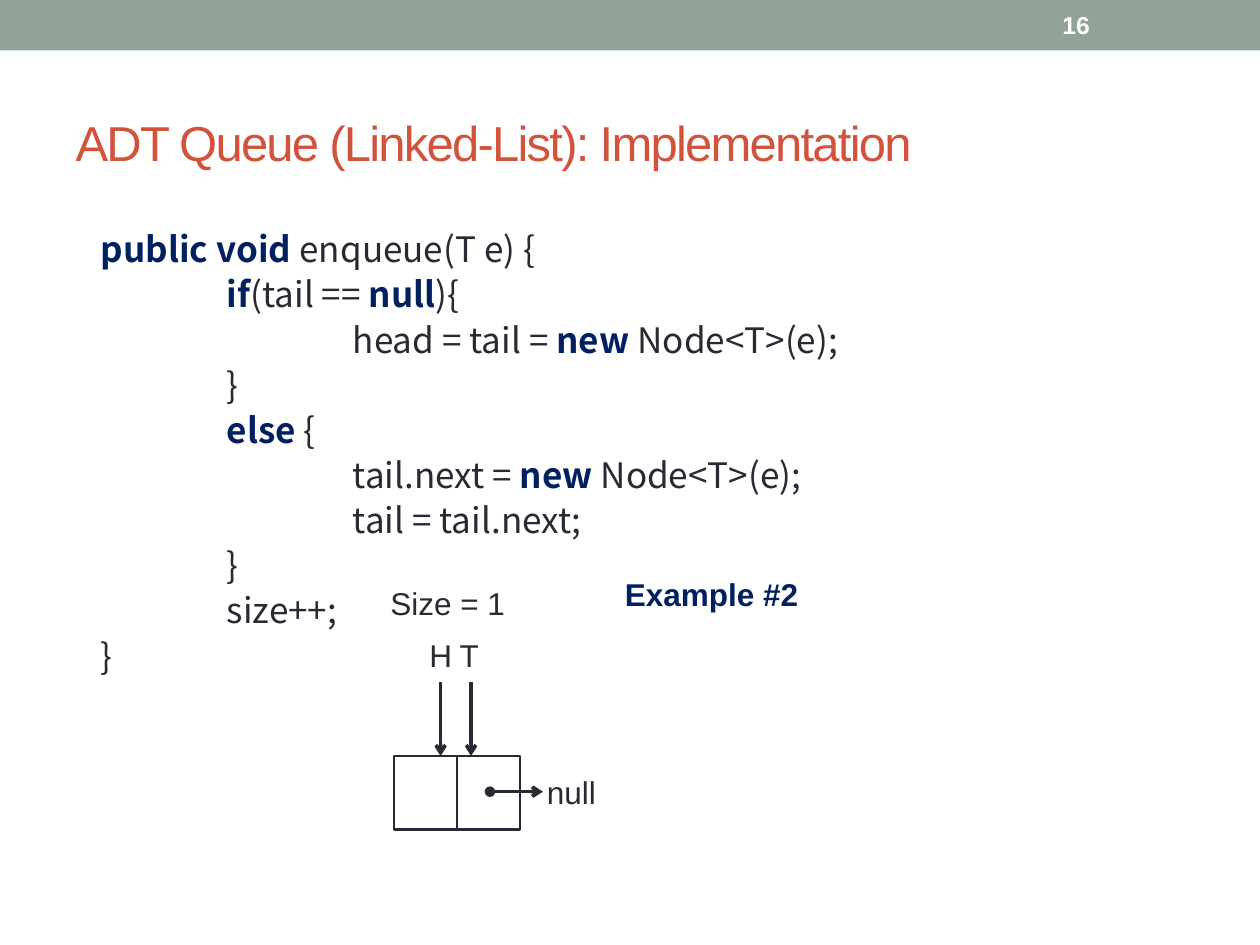
from lxml import etree
from pptx import Presentation
from pptx.dml.color import RGBColor
from pptx.enum.shapes import MSO_CONNECTOR, MSO_SHAPE
from pptx.enum.text import MSO_ANCHOR, MSO_AUTO_SIZE, PP_ALIGN
from pptx.oxml.ns import qn
from pptx.util import Pt

LINE, RECT = MSO_CONNECTOR.STRAIGHT, MSO_SHAPE.RECTANGLE
MID, TOP = MSO_ANCHOR.MIDDLE, MSO_ANCHOR.TOP
LEFT, FIXED = PP_ALIGN.LEFT, MSO_AUTO_SIZE.NONE
INK, NAVY, RED, SAGE, WHITE = "292934", "002060", "D2533C", "93A299", "FFFFFF"
SANS, CODE = "Arial", "Noto Sans CJK SC"

TITLE = "ADT Queue (Linked-List): Implementation"
KEYS = {"public void ", "if", "null", "new ", "else"}
LINES = [
    (0, ["public void ", "enqueue(T e) {"]),
    (1, ["if", "(tail == ", "null", "){"]),
    (2, ["head = tail = ", "new ", "Node<T>(e);"]),
    (1, ["}"]),
    (1, ["else", " {"]),
    (2, ["tail.next = ", "new ", "Node<T>(e);"]),
    (2, ["tail = tail.next;"]),
    (1, ["}"]),
    (1, ["size++;"]),
    (0, ["}"]),
]
NODE = (225.2, 432, 72, 42)
LABELS = [
    ("H", (238.3, 360, 28, 29), {}),
    ("T", (255.6, 360, 26, 29), {}),
    ("Size = 1", (216, 330, 88, 29), {}),
    ("null", (305.4, 438.2, 47.5, 29), {}),
    ("Example #2", (350, 325, 118, 29), {"color": NAVY, "bold": True}),
]


def rgb(code):
    return RGBColor.from_string(code)


def write(para, text, size=18, font=SANS, color=INK, bold=False, track=0):
    run = para.add_run()
    run.text = text
    face = run.font
    face.size, face.name, face.bold = Pt(size), font, bold
    face.color.rgb = rgb(color)
    if track:
        run._r.get_or_add_rPr().set("spc", str(track))


def place(item, box):
    item.left, item.top, item.width, item.height = map(Pt, box)


def label(text, box, wrap=False, anchor=TOP, **form):
    frame = slide.shapes.add_textbox(*map(Pt, box)).text_frame
    frame.word_wrap, frame.vertical_anchor = wrap, anchor
    write(frame.paragraphs[0], text, **form)


def block(box, fill, edge=None):
    shape = slide.shapes.add_shape(RECT, *map(Pt, box))
    shape.shadow.inherit = False
    shape.fill.solid()
    shape.fill.fore_color.rgb = rgb(fill)
    if edge:
        shape.line.color.rgb = rgb(edge)
        shape.line.width = Pt(1.25)
    else:
        shape.line.fill.background()


def link(ends, width=2, head=None, tail=None):
    item = slide.shapes.add_connector(LINE, *map(Pt, ends))
    item.line.color.rgb = rgb(INK)
    item.line.width = Pt(width)
    stroke = item.line._get_or_add_ln()
    for tag, kind in (("a:headEnd", head), ("a:tailEnd", tail)):
        if kind:
            etree.SubElement(stroke, qn(tag), type=kind)
    etree.SubElement(item._element.spPr, qn("a:effectLst"))


deck = Presentation()
deck.slide_width, deck.slide_height = Pt(720), Pt(540)
slide = deck.slides.add_slide(deck.slide_layouts[1])
title, body = slide.placeholders

block((0, 0, 720, 28.8), SAGE)
label("16", (600, 1.4, 84, 26), wrap=True, anchor=MID, size=14, color=WHITE, bold=True)

place(title, (36, 42, 648, 78))
frame = title.text_frame
frame.auto_size, frame.vertical_anchor = FIXED, MID
frame.paragraphs[0].alignment = LEFT
write(frame.paragraphs[0], TITLE, size=28, color=RED, track=-100)

place(body, (36, 126, 648, 384))
frame = body.text_frame
frame.auto_size, frame.margin_top = FIXED, Pt(6.9)
for i, (level, parts) in enumerate(LINES):
    para = frame.add_paragraph() if i else frame.paragraphs[0]
    para.line_spacing = 0.9
    para.space_before, para.space_after = Pt(0), Pt(4.2)
    props = para._p.get_or_add_pPr()
    props.set("marL", str(Pt(14.4 + 72 * level)))
    props.set("indent", "0")
    etree.SubElement(props, qn("a:buNone"))
    for part in parts:
        key = part in KEYS
        write(para, part, size=20, font=CODE, color=NAVY if key else INK, bold=key)

left, top, width, height = NODE
mid = left + width / 2
block(NODE, WHITE, INK)
link((mid, top, mid, top + height), width=0.75)
for x in (251.8, 269.2):
    link((x, 390, x, top), tail="arrow")
link((280, 452.4, 310.3, 452.4), head="oval", tail="arrow")
for text, box, form in LABELS:
    label(text, box, **form)

deck.save("out.pptx")
